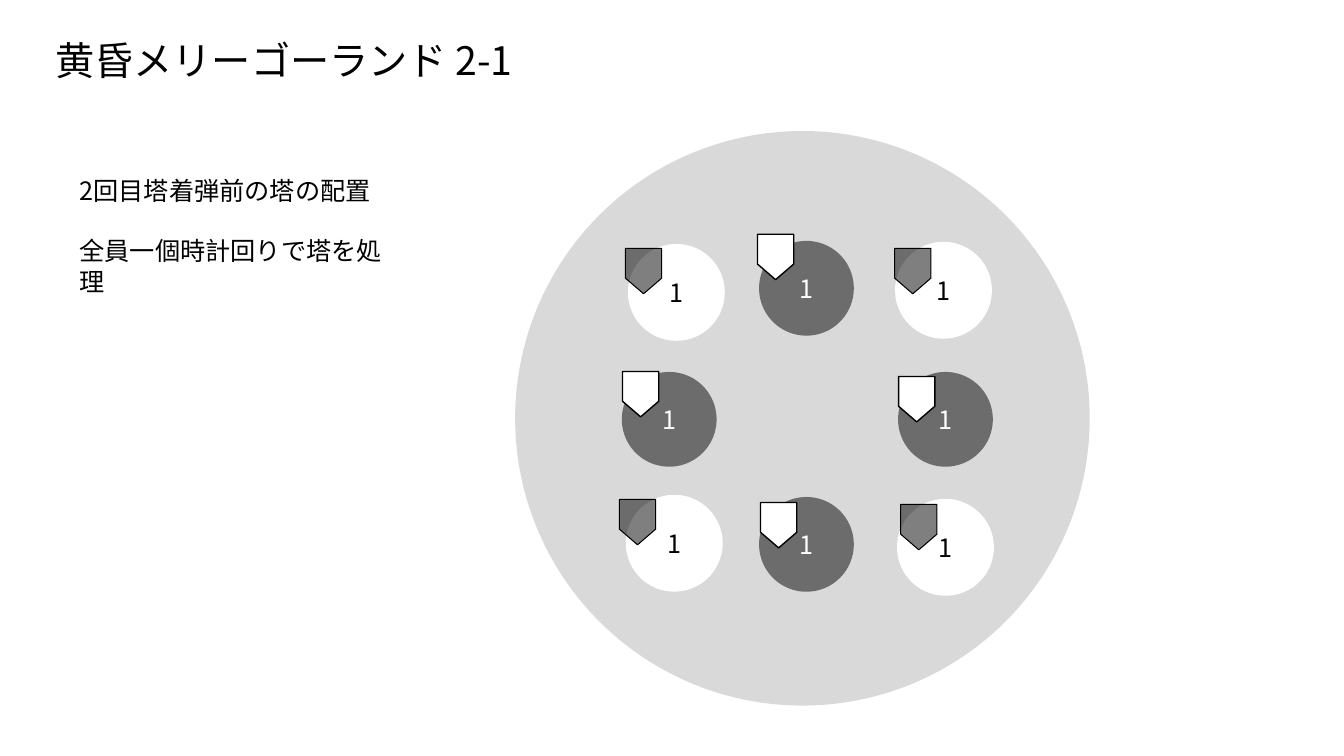
"""Build the slide that shows eight numbered towers and their markers in a round arena."""
from lxml import etree
from pptx import Presentation
from pptx.dml.color import RGBColor
from pptx.enum import shapes, text
from pptx.oxml import ns
from pptx.util import Pt

BLACK = RGBColor(0x00, 0x00, 0x00)
WHITE = RGBColor(0xFF, 0xFF, 0xFF)
ARENA_GREY = RGBColor(0xD9, 0xD9, 0xD9)
FONT = "Noto Sans CJK SC"
TOWER_SIZE = 67.7
MARKER_LENGTH, MARKER_WIDTH = 32.4, 25.9


def add_span(para, words, size, color):
    span = para.add_run()
    span.text = words
    span.font.name = FONT
    span.font.size = Pt(size)
    span.font.color.rgb = color
    east_asian = etree.SubElement(span.font._element, ns.qn("a:ea"))
    east_asian.set("typeface", FONT)


def add_filled(kind, left, top, width, height, color, opacity=100):
    shape = page.shapes.add_shape(kind, Pt(left), Pt(top), Pt(width), Pt(height))
    shape.shadow.inherit = False
    shape.fill.solid()
    shape.fill.fore_color.rgb = color
    shape.line.fill.background()
    if opacity < 100:
        solid = shape._element.spPr.find(ns.qn("a:solidFill"))
        etree.SubElement(solid[0], ns.qn("a:alpha")).set("val", str(opacity * 1000))
    return shape


deck = Presentation()
deck.slide_width, deck.slide_height = Pt(960), Pt(540)
page = deck.slides.add_slide(deck.slide_layouts[5])

title = page.shapes.title
title.left, title.top, title.width, title.height = Pt(32.4), Pt(21.6), Pt(894.2), Pt(60.5)
frame = title.text_frame
frame.margin_left = frame.margin_right = frame.margin_top = frame.margin_bottom = Pt(7.2)
frame.vertical_anchor = text.MSO_ANCHOR.TOP
frame.auto_size = text.MSO_AUTO_SIZE.NONE
para = frame.paragraphs[0]
para.alignment = text.PP_ALIGN.LEFT
para.line_spacing = Pt(31)
add_span(para, "黄昏メリーゴーランド 2-1", 28, BLACK)

add_filled(shapes.MSO_SHAPE.OVAL, 368, 93.6, 410.4, 410.4, ARENA_GREY)

dark_towers = [(542.2, 172.1), (641.5, 265.7), (542.2, 355), (444.2, 265.7)]
light_towers = [(449.3, 175), (447.8, 354.2), (640.1, 173.5), (641.5, 357.1)]
for towers, fill, opacity, ink in (
    (dark_towers, BLACK, 50, WHITE),
    (light_towers, WHITE, 100, BLACK),
):
    for left, top in towers:
        tower = add_filled(shapes.MSO_SHAPE.OVAL, left, top, TOWER_SIZE, TOWER_SIZE, fill, opacity)
        if fill == WHITE:
            tower.line.color.rgb = WHITE
            tower.line.width = Pt(1.5)
        tower.text_frame.vertical_anchor = text.MSO_ANCHOR.MIDDLE
        para = tower.text_frame.paragraphs[0]
        para.alignment = text.PP_ALIGN.CENTER
        add_span(para, "1", 18, ink)

box = page.shapes.add_textbox(Pt(49.7), Pt(121), Pt(232), Pt(94.3))
box.text_frame.word_wrap = True
for index, words in enumerate(("2回目塔着弾前の塔の配置", "全員一個時計回りで塔を処理")):
    para = box.text_frame.paragraphs[0] if index == 0 else box.text_frame.add_paragraph()
    para.line_spacing = Pt(22)
    if index:
        para.space_before = Pt(21)
    add_span(para, words, 18, BLACK)

light_markers = [(537.8, 170.6), (441.4, 268.6), (638.6, 272.2), (540, 362.2)]
dark_markers = [(635.8, 180.7), (443.5, 180.7), (439.2, 360), (640.1, 363.6)]
for markers, fill, opacity, line_width in (
    (light_markers, WHITE, 100, 1),
    (dark_markers, BLACK, 50, 0.75),
):
    for left, top in markers:
        marker = add_filled(
            shapes.MSO_SHAPE.PENTAGON, left, top, MARKER_LENGTH, MARKER_WIDTH, fill, opacity
        )
        marker.rotation = 90
        marker.adjustments[0] = 0.43
        marker.line.color.rgb = BLACK
        marker.line.width = Pt(line_width)

deck.save("out.pptx")
